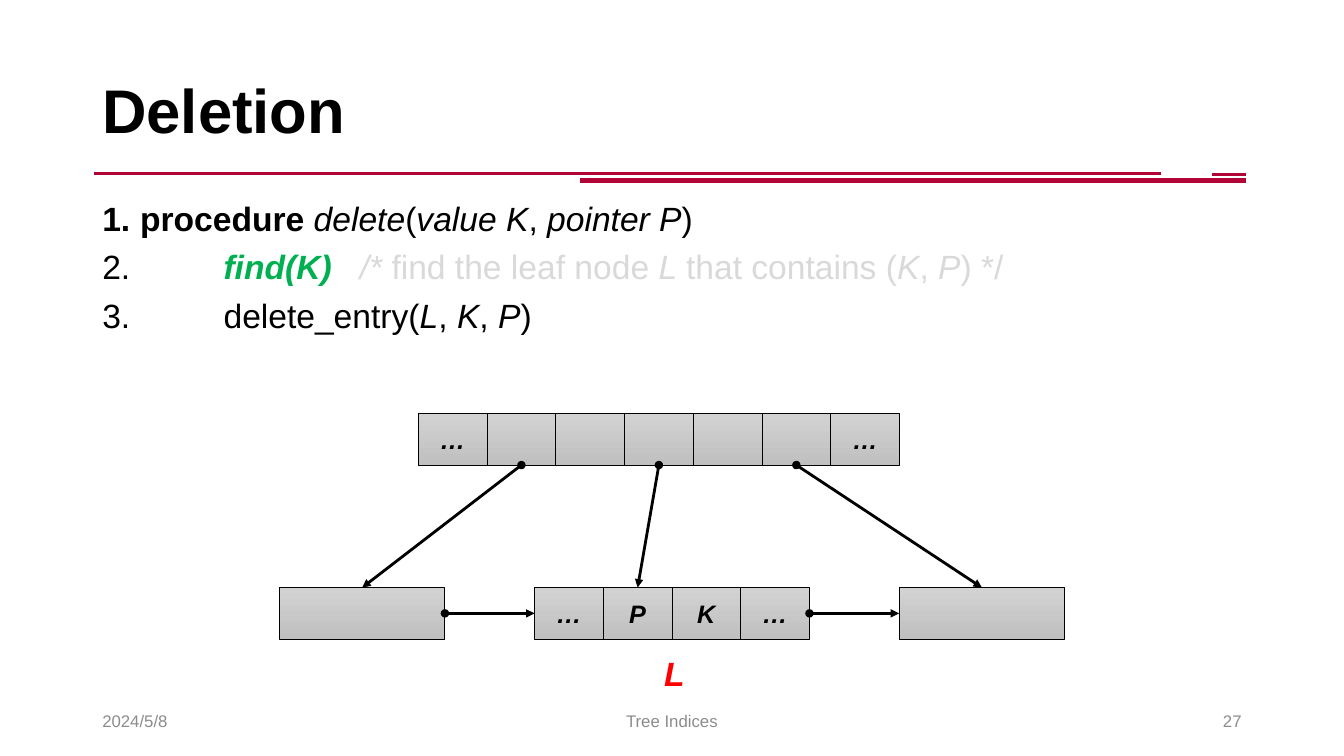
from lxml import etree
from pptx import Presentation
from pptx.dml.color import RGBColor
from pptx.enum import shapes, text
from pptx.oxml import ns
from pptx.util import Pt

BLACK = RGBColor(0x00, 0x00, 0x00)
CRIMSON = RGBColor(0xB2, 0x05, 0x37)
GRAY = RGBColor(0x8C, 0x8C, 0x8C)
PALE = RGBColor(0xD9, 0xD9, 0xD9)
GREEN = RGBColor(0x00, 0xB0, 0x50)
RED = RGBColor(0xFF, 0x00, 0x00)
CELL_TOP = RGBColor(0xD2, 0xD2, 0xD2)
CELL_BOTTOM = RGBColor(0xC0, 0xC0, 0xC0)
LEFT, CENTER, RIGHT = text.PP_ALIGN.LEFT, text.PP_ALIGN.CENTER, text.PP_ALIGN.RIGHT

RULES = [(67, 829.5, 123.8, 2), (414, 890, 128.9, 4), (866, 890, 124.6, 2)]
FOOTER = [
    ("2024/5/8", 66, 216, LEFT),
    ("Tree Indices", 318, 324, CENTER),
    ("27", 678, 216, RIGHT),
]
STEPS = [
    (27, [("procedure ", "b", BLACK), ("delete", "i", BLACK), ("(", "", BLACK),
          ("value K", "i", BLACK), (", ", "", BLACK), ("pointer P", "i", BLACK),
          (")", "", BLACK)]),
    (80, [(" ", "", BLACK), ("find(K)", "bi", GREEN), (" ", "wide", PALE),
          ("/* ", "i", PALE), ("find the leaf node ", "", PALE), ("L ", "i", PALE),
          ("that contains (", "", PALE), ("K", "i", PALE), (", ", "", PALE),
          ("P", "i", PALE), (") */", "", PALE)]),
    (80, [(" delete_entry(", "", BLACK), ("L", "i", BLACK), (", ", "", BLACK),
          ("K", "i", BLACK), (", ", "", BLACK), ("P", "i", BLACK), (")", "", BLACK)]),
]
PARENT = ["…", "", "", "", "", "", "…"]
LEAF = ["…", "P", "K", "…"]
CELL_WIDTH, SIBLING_WIDTH, NODE_HEIGHT = 49.1, 118.2, 36.9
PARENT_LEFT, PARENT_TOP = 298.8, 295.3
LEAF_LEFT, LEAF_TOP = 381.8, 419.7
SIBLING_LEFTS = (199.6, 642.3)
TOP_SITE, LEFT_SITE, BOTTOM_SITE, RIGHT_SITE = range(4)

presentation = Presentation()
presentation.slide_width, presentation.slide_height = Pt(960), Pt(540)
slide = presentation.slides.add_slide(presentation.slide_layouts[6])


def style(font, size, color, bold=False, italic=False):
    font.name, font.size = "Arial", Pt(size)
    font.bold, font.italic = bold, italic
    font.color.rgb = color


def add_text(words, box, size, color, align=LEFT, bold=False, italic=False,
             anchor=text.MSO_ANCHOR.MIDDLE, wrap=True):
    frame = slide.shapes.add_textbox(*map(Pt, box)).text_frame
    frame.word_wrap, frame.vertical_anchor = wrap, anchor
    paragraph = frame.paragraphs[0]
    paragraph.text, paragraph.alignment = words, align
    style(paragraph.font, size, color, bold, italic)
    return paragraph


def add_line(start, end, color, width):
    line = slide.shapes.add_connector(
        shapes.MSO_CONNECTOR.STRAIGHT, *map(Pt, (*start, *end)))
    line.line.color.rgb, line.line.width = color, Pt(width)
    etree.SubElement(line._element.spPr, ns.qn("a:effectLst"))
    return line


def add_cell(label, left, top, width):
    cell = slide.shapes.add_shape(
        shapes.MSO_SHAPE.RECTANGLE, *map(Pt, (left, top, width, NODE_HEIGHT)))
    cell.shadow.inherit = False
    cell.fill.gradient()
    cell.fill.gradient_angle = 270
    for stop, color in zip(cell.fill.gradient_stops, (CELL_TOP, CELL_BOTTOM)):
        stop.color.rgb = color
    cell.line.color.rgb, cell.line.width = BLACK, Pt(0.5)
    if label:
        cell.text_frame.vertical_anchor = text.MSO_ANCHOR.MIDDLE
        paragraph = cell.text_frame.paragraphs[0]
        paragraph.text, paragraph.alignment = label, CENTER
        style(paragraph.font, 18, BLACK, True, True)
    return cell


def add_node(labels, left, top):
    return [add_cell(label, left + i * CELL_WIDTH, top, CELL_WIDTH)
            for i, label in enumerate(labels)]


def add_pointer(source, source_site, target, target_site):
    pointer = add_line((0, 0), (0, 0), BLACK, 2)
    pointer.begin_connect(source, source_site)
    pointer.end_connect(target, target_site)
    outline = pointer.line._get_or_add_ln()
    for tag, kind in (("a:headEnd", "oval"), ("a:tailEnd", "triangle")):
        etree.SubElement(outline, ns.qn(tag), type=kind)


def add_steps():
    frame = slide.shapes.add_textbox(*map(Pt, (66, 137.5, 675.5, 106.5))).text_frame
    frame.word_wrap = True
    for number, (indent, runs) in enumerate(STEPS, 1):
        paragraph = frame.paragraphs[0] if number == 1 else frame.add_paragraph()
        if number > 1:
            paragraph.space_before = Pt(6)
        properties = paragraph._p.get_or_add_pPr()
        properties.set("marL", str(Pt(indent)))
        properties.set("indent", str(-Pt(indent)))
        etree.SubElement(properties, ns.qn("a:buFont"), typeface="+mj-lt")
        etree.SubElement(properties, ns.qn("a:buAutoNum"),
                         type="arabicPeriod", startAt=str(number))
        for words, look, color in runs:
            run = paragraph.add_run()
            run.text = words
            if look == "wide":
                style(run.font, 24, color)
                run._r.get_or_add_rPr().set("spc", "1333")
            else:
                style(run.font, 24, color, "b" in look, "i" in look)


for start, end, height, width in RULES:
    add_line((start, height), (end, height), CRIMSON, width)
title = add_text("Deletion", (66, 28.8, 828, 104.4), 44, BLACK, bold=True)
title.line_spacing = 0.9
for words, left, width, align in FOOTER:
    add_text(words, (left, 500.5, width, 28.8), 12, GRAY, align)
add_steps()

parent = add_node(PARENT, PARENT_LEFT, PARENT_TOP)
leaf = add_node(LEAF, LEAF_LEFT, LEAF_TOP)
previous, following = [add_cell("", left, LEAF_TOP, SIBLING_WIDTH)
                       for left in SIBLING_LEFTS]
add_pointer(previous, RIGHT_SITE, leaf[0], LEFT_SITE)
add_pointer(leaf[-1], RIGHT_SITE, following, LEFT_SITE)
for source, target in zip(parent[1::2], (previous, leaf[1], following)):
    add_pointer(source, BOTTOM_SITE, target, TOP_SITE)
add_text("L", (467.3, 463, 24.5, 36), 24, RED, bold=True, italic=True,
         anchor=text.MSO_ANCHOR.TOP, wrap=False)

presentation.save("out.pptx")
